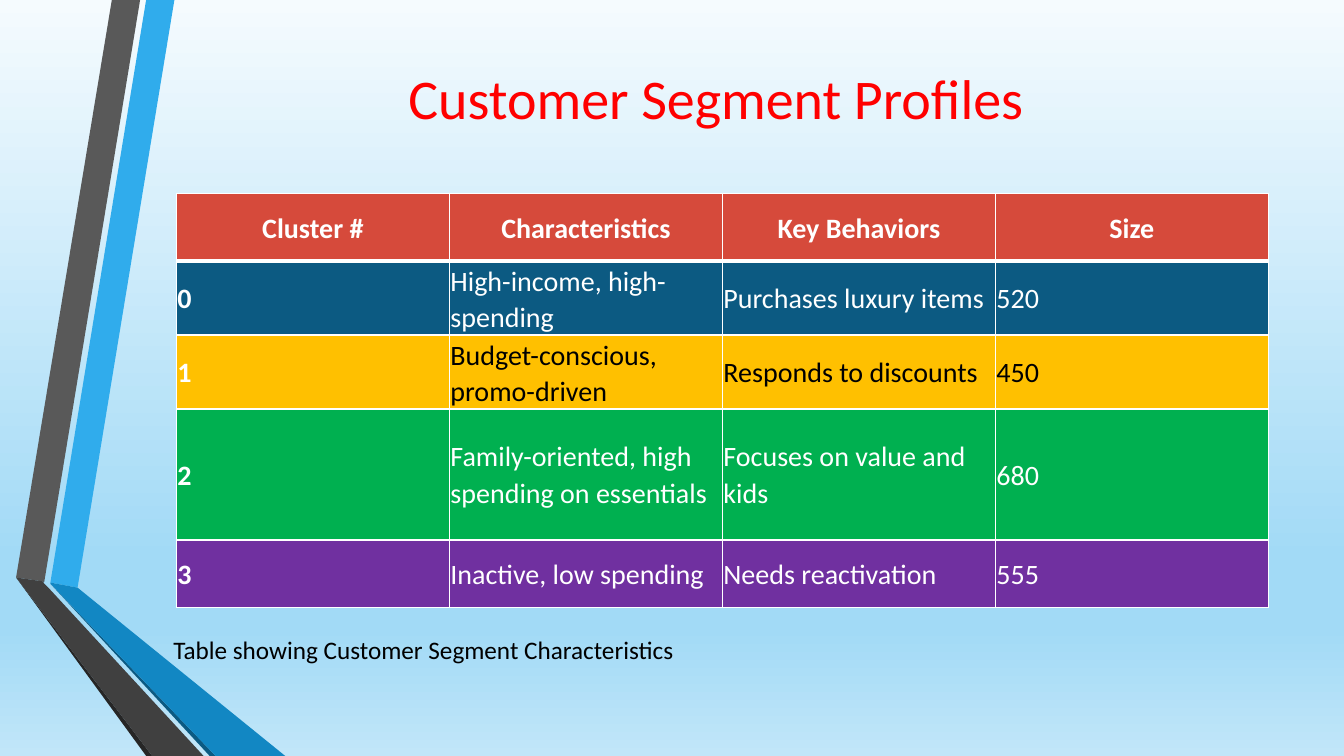
from lxml import etree
from pptx import Presentation
from pptx.dml.color import RGBColor
from pptx.enum.text import MSO_ANCHOR, PP_ALIGN
from pptx.oxml.ns import qn
from pptx.util import Inches, Pt

MIDDLE, TOP = MSO_ANCHOR.MIDDLE, MSO_ANCHOR.TOP
CENTER, LEFT = PP_ALIGN.CENTER, PP_ALIGN.LEFT
FONT = "Calibri"
WHITE, BLACK, RED = "FFFFFF", "000000", "FF0000"

SKY_STOPS = [(0, "F5FBFE"), (74, "A2DAF6"), (83, "A2DAF6"), (100, "C1E6F9")]

# Ribbon outlines in inches, from back to front
RIBBONS = [
    ("30ACEC", [(0.5, 5.78), (0.77, 5.83), (1.73, 0), (1.45, 0)]),
    ("595959", [(1.39, 0), (1.11, 0), (0.16, 5.73), (0.44, 5.77)]),
    ("262626", [(0.16, 5.73), (1.45, 7.5), (1.51, 7.5)]),
    ("0C5A82", [(0.5, 5.79), (2.08, 7.5), (2.14, 7.5)]),
    ("1287C3", [(0.5, 5.79), (2.14, 7.5), (2.83, 7.5), (0.77, 5.83), (0.5, 5.78)]),
    ("404040", [(2.02, 7.5), (0.48, 5.83), (0.43, 5.78), (0.44, 5.77),
                (0.16, 5.73), (1.51, 7.5)]),
]

HEADERS = ["Cluster #", "Characteristics", "Key Behaviors", "Size"]
HEADER_FILL = "D64A3B"
# Row height, fill, text colour, cells
SEGMENTS = [
    (0.67, "0C5A82", WHITE,
     ["0", "High-income, high-spending", "Purchases luxury items", "520"]),
    (0.67, "FFC000", BLACK,
     ["1", "Budget-conscious, promo-driven", "Responds to discounts", "450"]),
    (1.3, "00B050", WHITE,
     ["2", "Family-oriented, high spending on essentials",
      "Focuses on value and kids", "680"]),
    (0.67, "7030A0", WHITE,
     ["3", "Inactive, low spending", "Needs reactivation", "555"]),
]


def rgb(value):
    return RGBColor.from_string(value)


def add_span(para, text, size, color, bold=False):
    span = para.add_run()
    span.text = text
    span.font.name = FONT
    span.font.size = Pt(size)
    span.font.bold = bold
    span.font.color.rgb = rgb(color)


def paint_background(page):
    fill = page.background.fill
    fill.gradient()
    fill.gradient_angle = 270
    stops = page.element.find(".//" + qn("a:gsLst"))
    for stop in list(stops):
        stops.remove(stop)
    for percent, color in SKY_STOPS:
        stop = etree.SubElement(stops, qn("a:gs"), pos=str(percent * 1000))
        etree.SubElement(stop, qn("a:srgbClr"), val=color)


def add_ribbons(page, left, top):
    for color, outline in RIBBONS:
        points = [(Inches(left + x), Inches(top + y)) for x, y in outline]
        builder = page.shapes.build_freeform(*points[0])
        builder.add_line_segments(points[1:], close=True)
        ribbon = builder.convert_to_shape()
        ribbon.shadow.inherit = False
        ribbon.fill.solid()
        ribbon.fill.fore_color.rgb = rgb(color)
        ribbon.line.fill.background()


def add_text(page, left, top, width, height, text, size, color, align, anchor):
    box = page.shapes.add_textbox(*map(Inches, (left, top, width, height)))
    frame = box.text_frame
    frame.word_wrap = True
    frame.vertical_anchor = anchor
    para = frame.paragraphs[0]
    para.alignment = align
    add_span(para, text, size, color)


def set_borders(cell, top_width, bottom_width):
    properties = cell._tc.get_or_add_tcPr()
    widths = {"a:lnL": 1, "a:lnR": 1, "a:lnT": top_width, "a:lnB": bottom_width}
    for tag, width in widths.items():
        line = etree.SubElement(properties, qn(tag), w=str(Pt(width)))
        fill = etree.SubElement(line, qn("a:solidFill"))
        etree.SubElement(fill, qn("a:srgbClr"), val=WHITE)


def fill_cell(cell, text, fill, color, bold, align):
    cell.fill.solid()
    cell.fill.fore_color.rgb = rgb(fill)
    cell.vertical_anchor = MIDDLE
    cell.margin_left = cell.margin_right = Inches(0.01)
    cell.margin_top = cell.margin_bottom = Inches(0.01)
    para = cell.text_frame.paragraphs[0]
    para.alignment = align
    para.line_spacing = 1.07
    para.space_after = Pt(8)
    add_span(para, text, 20, color, bold)


def add_segment_table(page, left, top, width):
    rows = [(0.67, HEADER_FILL, WHITE, HEADERS)] + SEGMENTS
    height = sum(row[0] for row in rows)
    table = page.shapes.add_table(
        len(rows), len(HEADERS), *map(Inches, (left, top, width, height))).table
    for column in table.columns:
        column.width = Inches(width / len(HEADERS))
    for r, (row_height, fill, color, texts) in enumerate(rows):
        table.rows[r].height = Inches(row_height)
        for c, text in enumerate(texts):
            cell = table.cell(r, c)
            # A thick rule parts the header from the segments
            set_borders(cell, 3 if r == 1 else 1, 3 if r == 0 else 1)
            fill_cell(cell, text, fill, WHITE if c == 0 else color,
                      r == 0 or c == 0, CENTER if r == 0 else LEFT)


def main():
    deck = Presentation()
    deck.slide_width, deck.slide_height = Inches(13.33), Inches(7.5)
    page = deck.slides.add_slide(deck.slide_layouts[6])
    paint_background(page)
    add_ribbons(page, 0, 0)
    # Title and caption
    add_text(page, 1.62, 0.5, 10.96, 0.93, "Customer Segment Profiles",
             40, RED, CENTER, MIDDLE)
    add_text(page, 1.62, 6.24, 6.15, 0.4,
             "Table showing Customer Segment Characteristics",
             18, BLACK, LEFT, TOP)
    add_segment_table(page, 1.75, 1.92, 10.83)
    deck.save("out.pptx")


if __name__ == "__main__":
    main()
